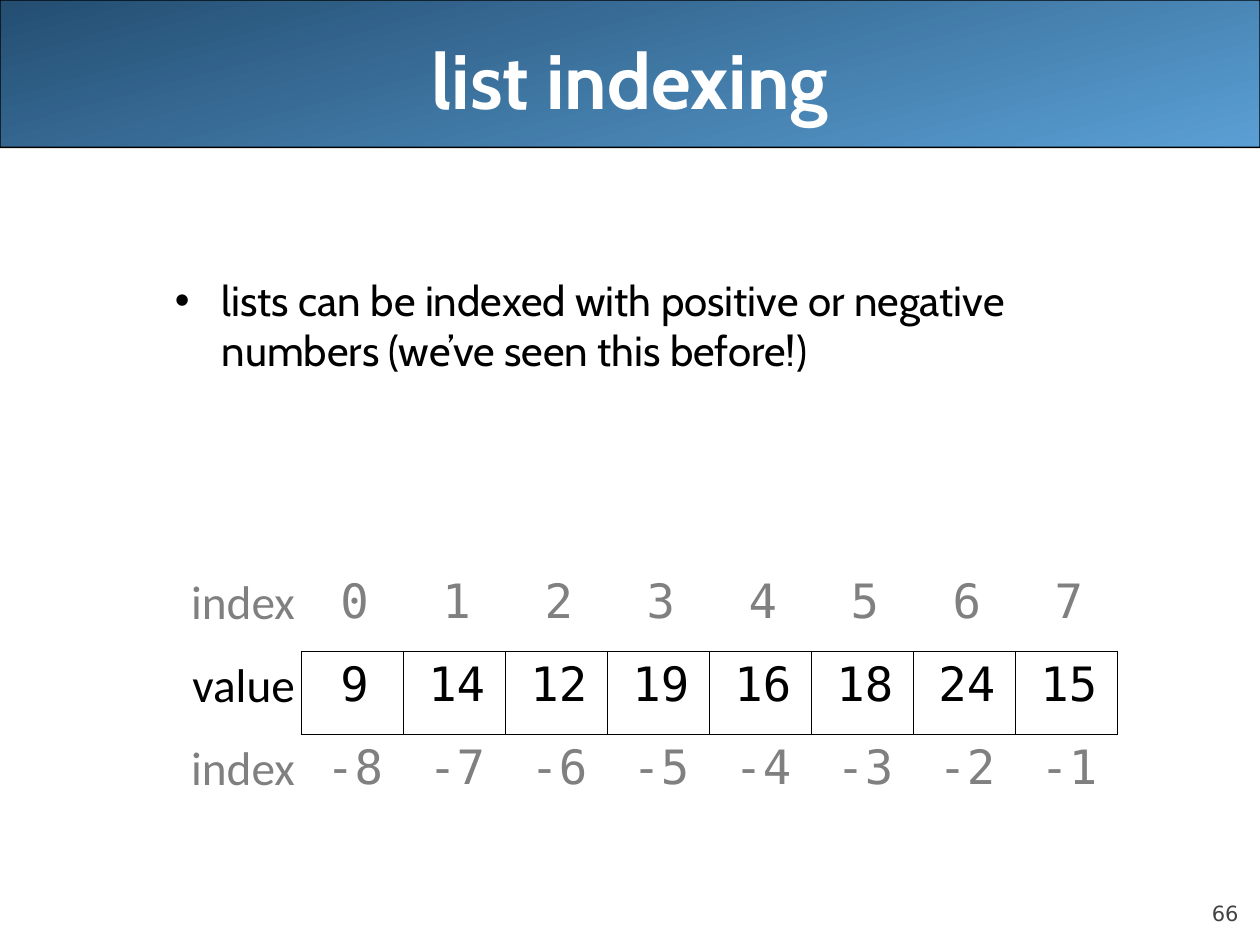
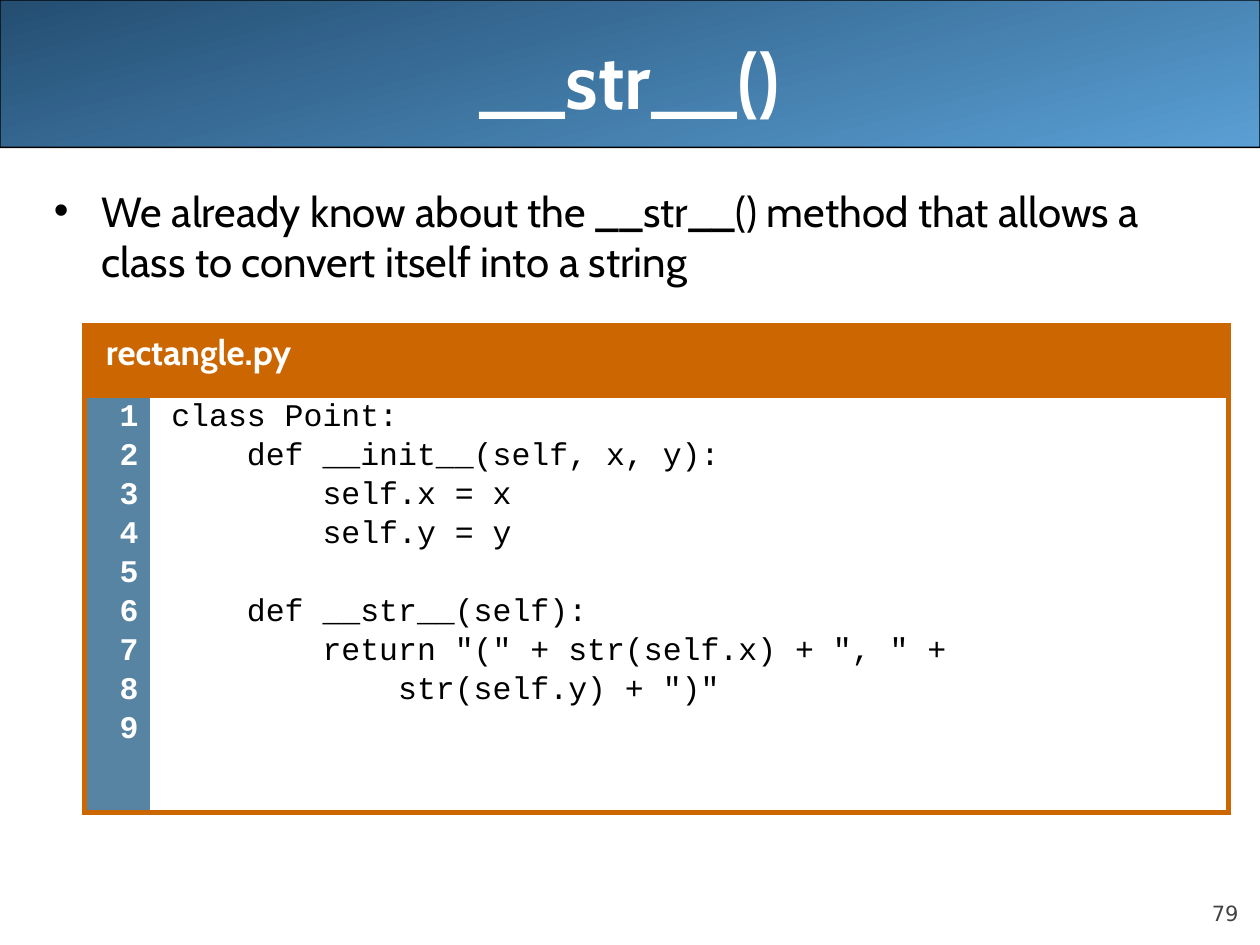
from collections import namedtuple
from dataclasses import dataclass

from lxml import etree
from pptx import Presentation
from pptx.dml.color import RGBColor
from pptx.enum.shapes import MSO_SHAPE
from pptx.enum.text import MSO_ANCHOR, PP_ALIGN
from pptx.oxml.ns import qn
from pptx.util import Inches, Pt

ROUNDED = MSO_SHAPE.ROUNDED_RECTANGLE
TOP, MIDDLE, BOTTOM = MSO_ANCHOR.TOP, MSO_ANCHOR.MIDDLE, MSO_ANCHOR.BOTTOM
LEFT, CENTER, RIGHT = PP_ALIGN.LEFT, PP_ALIGN.CENTER, PP_ALIGN.RIGHT

Box = namedtuple("Box", "left top width height")
Style = namedtuple("Style", "font size color bold", defaults=(False,))


@dataclass(frozen=True)
class Theme:
    band_dark: str = "244E72"
    band_light: str = "5A9FD4"
    black: str = "000000"
    white: str = "FFFFFF"
    orange: str = "CC6600"
    gutter: str = "5784A3"
    title: Style = Style("Cabin", 44, "FFFFFF", True)
    body: Style = Style("Cabin", 24, "000000")
    page_number: Style = Style("DejaVu Sans", 12, "424242")
    value_label: Style = Style("Calibri", 27, "000000")
    index_label: Style = Style("Calibri", 27, "808080")
    value: Style = Style("DejaVu Sans Mono", 27, "000000")
    index: Style = Style("DejaVu Sans Mono", 27, "808080")
    file_name: Style = Style("Cabin", 20, "FFFFFF", True)
    line_number: Style = Style("Courier New", 18, "FFFFFF", True)
    code: Style = Style("Courier New", 18, "000000")


THEME = Theme()
PAGE_WIDTH, PAGE_HEIGHT = 10, 7.5
BAND_BOX = Box(0, 0, PAGE_WIDTH, 1.17)
TITLE_BOX = Box(0.5, 0, 9, 1.25)
NUMBER_BOX = Box(9, 6.95, 0.83, 0.4)

LIST_VALUES = [9, 14, 12, 19, 16, 18, 24, 15]
CODE_LINES = [
    "class Point:",
    "    def __init__(self, x, y):",
    "        self.x = x",
    "        self.y = y",
    "        ",
    "    def __str__(self):",
    '        return "(" + str(self.x) + ", " +',
    '            str(self.y) + ")"',
]
LINE_NUMBERS = [str(number) for number in range(1, 10)]


def rgb(color):
    return RGBColor.from_string(color)


def inches(box):
    return [Inches(length) for length in box]


def add_span(para, text, style):
    span = para.add_run()
    span.text = text
    span.font.name = style.font
    span.font.size = Pt(style.size)
    span.font.bold = style.bold
    span.font.color.rgb = rgb(style.color)


def set_indent(para, margin, first_line=0):
    properties = para._p.get_or_add_pPr()
    properties.set("marL", str(Inches(margin)))
    properties.set("indent", str(Inches(first_line)))


def add_bullet(para, color):
    properties = para._p.get_or_add_pPr()
    bullet_color = etree.SubElement(properties, qn("a:buClr"))
    etree.SubElement(bullet_color, qn("a:srgbClr"), val=color)
    etree.SubElement(properties, qn("a:buFont"), typeface="Arial")
    etree.SubElement(properties, qn("a:buChar"), char="•")


def add_text(page, box, text, style, align=LEFT, anchor=TOP, insets=(0.1, 0.05)):
    frame = page.shapes.add_textbox(*inches(box)).text_frame
    frame.word_wrap = True
    frame.vertical_anchor = anchor
    frame.margin_left = frame.margin_right = Inches(insets[0])
    frame.margin_top = frame.margin_bottom = Inches(insets[1])
    para = frame.paragraphs[0]
    para.alignment = align
    add_span(para, text, style)
    return para


def add_bullet_text(page, box, text, margin, first_line):
    para = add_text(page, box, text, THEME.body)
    set_indent(para, margin, first_line)
    add_bullet(para, THEME.black)


def add_band(page, box):
    band = page.shapes.add_shape(ROUNDED, *inches(box))
    band.adjustments[0] = 0.001
    band.shadow.inherit = False
    band.fill.gradient()
    band.fill.gradient_angle = 285
    for stop, color in zip(band.fill.gradient_stops, (THEME.band_dark, THEME.band_light)):
        stop.color.rgb = rgb(color)
    band.line.color.rgb = rgb(THEME.black)
    band.line.width = Pt(0.75)


def add_page(deck, title, number):
    page = deck.slides.add_slide(deck.slide_layouts[6])
    add_band(page, BAND_BOX)
    add_text(page, NUMBER_BOX, str(number), THEME.page_number, RIGHT, BOTTOM, (0, 0))
    add_text(page, TITLE_BOX, title, THEME.title, CENTER, MIDDLE)
    return page


def add_plain_table(page, box, widths, heights):
    table = page.shapes.add_table(len(heights), len(widths), *inches(box)).table
    table.first_row = table.horz_banding = False
    for column, width in zip(table.columns, widths):
        column.width = Inches(width)
    for row, height in zip(table.rows, heights):
        row.height = Inches(height)
    return table


def set_borders(cell, sides, color, width):
    properties = cell._tc.get_or_add_tcPr()
    for position, side in enumerate("LRTB"):
        line = etree.Element(qn(f"a:ln{side}"), w=str(Pt(width)))
        if side in sides:
            fill = etree.SubElement(line, qn("a:solidFill"))
            etree.SubElement(fill, qn("a:srgbClr"), val=color)
        else:
            etree.SubElement(line, qn("a:noFill"))
        properties.insert(position, line)


def set_fill(cell, color):
    cell.fill.solid()
    cell.fill.fore_color.rgb = rgb(color)


def fill_cell(cell, lines, style, align, margin, left=0.05, right=0.05,
              line_spacing=None, space_before=0):
    cell.margin_left, cell.margin_right = Inches(left), Inches(right)
    cell.margin_top = cell.margin_bottom = Inches(0.05)
    frame = cell.text_frame
    for position, line in enumerate(lines):
        para = frame.add_paragraph() if position else frame.paragraphs[0]
        para.alignment = align
        set_indent(para, margin)
        para.line_spacing = line_spacing
        para.space_before = Pt(space_before if position else 0)
        add_span(para, line, style)


def add_index_table(page, box, values):
    count = len(values)
    label_width, row_height = 1.28, box.height / 3
    value_width = (box.width - label_width) / count
    table = add_plain_table(page, box, [label_width] + [value_width] * count,
                            [row_height] * 3)
    rows = [
        ("index", range(count), THEME.index_label, THEME.index, "", "B"),
        ("value", values, THEME.value_label, THEME.value, "R", "LRTB"),
        ("index", range(-count, 0), THEME.index_label, THEME.index, "", "T"),
    ]
    for row, (label, entries, label_style, style, label_sides, sides) in enumerate(rows):
        label_cell = table.cell(row, 0)
        fill_cell(label_cell, [label], label_style, RIGHT, 0.04)
        set_borders(label_cell, label_sides, THEME.black, 0.45)
        label_cell.fill.background()
        for column, entry in enumerate(entries, 1):
            cell = table.cell(row, column)
            fill_cell(cell, [str(entry)], style, CENTER, 0.04, 0.09, 0.09)
            set_borders(cell, sides, THEME.black, 0.45)
            cell.fill.background()


def add_code_table(page, box, file_name, numbers, lines):
    gutter_width, header_height = 0.52, 0.56
    table = add_plain_table(page, box, [gutter_width, box.width - gutter_width],
                            [header_height, box.height - header_height])
    header, header_end = table.cell(0, 0), table.cell(0, 1)
    gutter, listing = table.cell(1, 0), table.cell(1, 1)
    header.merge(header_end)
    fill_cell(header, [file_name], THEME.file_name, LEFT, 0.12)
    spacing = {"line_spacing": 0.87, "space_before": 4.5}
    fill_cell(gutter, numbers, THEME.line_number, RIGHT, 0.12, right=0.09, **spacing)
    fill_cell(listing, lines, THEME.code, LEFT, 0.12, right=0.18, **spacing)
    for cell, sides, color in (
        (header, "LRTB", THEME.orange),
        (header_end, "RTB", THEME.orange),
        (gutter, "LTB", THEME.gutter),
        (listing, "RTB", THEME.white),
    ):
        set_borders(cell, sides, THEME.orange, 3)
        set_fill(cell, color)


def build_indexing_page(deck):
    page = add_page(deck, "list indexing", 66)
    add_bullet_text(
        page, Box(0.98, 2.13, 8.05, 1.88),
        "lists can be indexed with positive or negative numbers (we’ve seen this before!)",
        0.68, -0.37)
    add_index_table(page, Box(1.11, 4.51, 7.76, 1.98), LIST_VALUES)


def build_str_page(deck):
    page = add_page(deck, "__str__()", 79)
    add_bullet_text(
        page, Box(0.33, 1.42, 9.5, 5.42),
        "We already know about the __str__() method that allows a class "
        "to convert itself into a string",
        0.38, -0.38)
    add_code_table(page, Box(0.67, 2.58, 9.08, 3.87), "rectangle.py",
                   LINE_NUMBERS, CODE_LINES)


def main():
    deck = Presentation()
    deck.slide_width, deck.slide_height = Inches(PAGE_WIDTH), Inches(PAGE_HEIGHT)
    build_indexing_page(deck)
    build_str_page(deck)
    deck.save("out.pptx")


if __name__ == "__main__":
    main()
